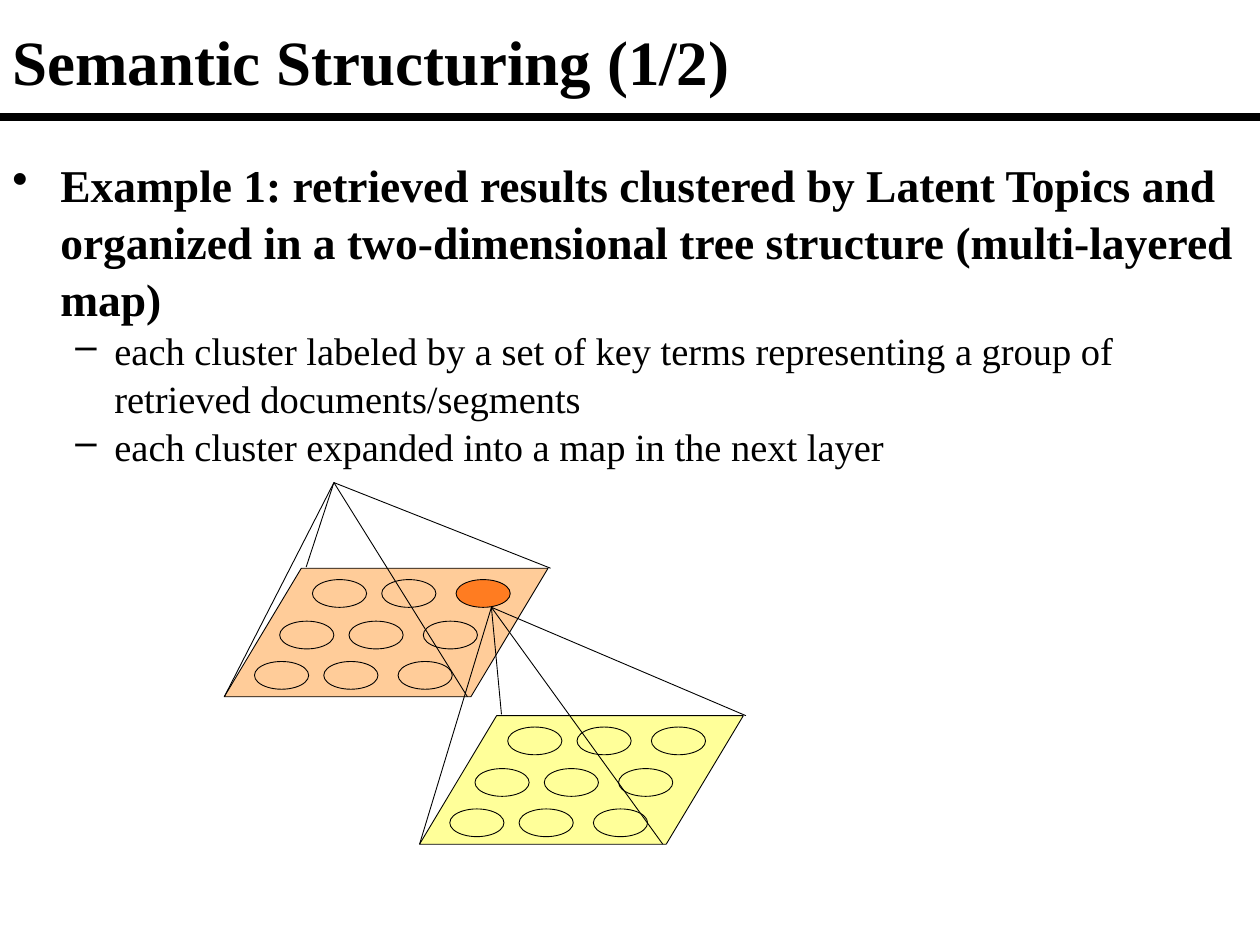
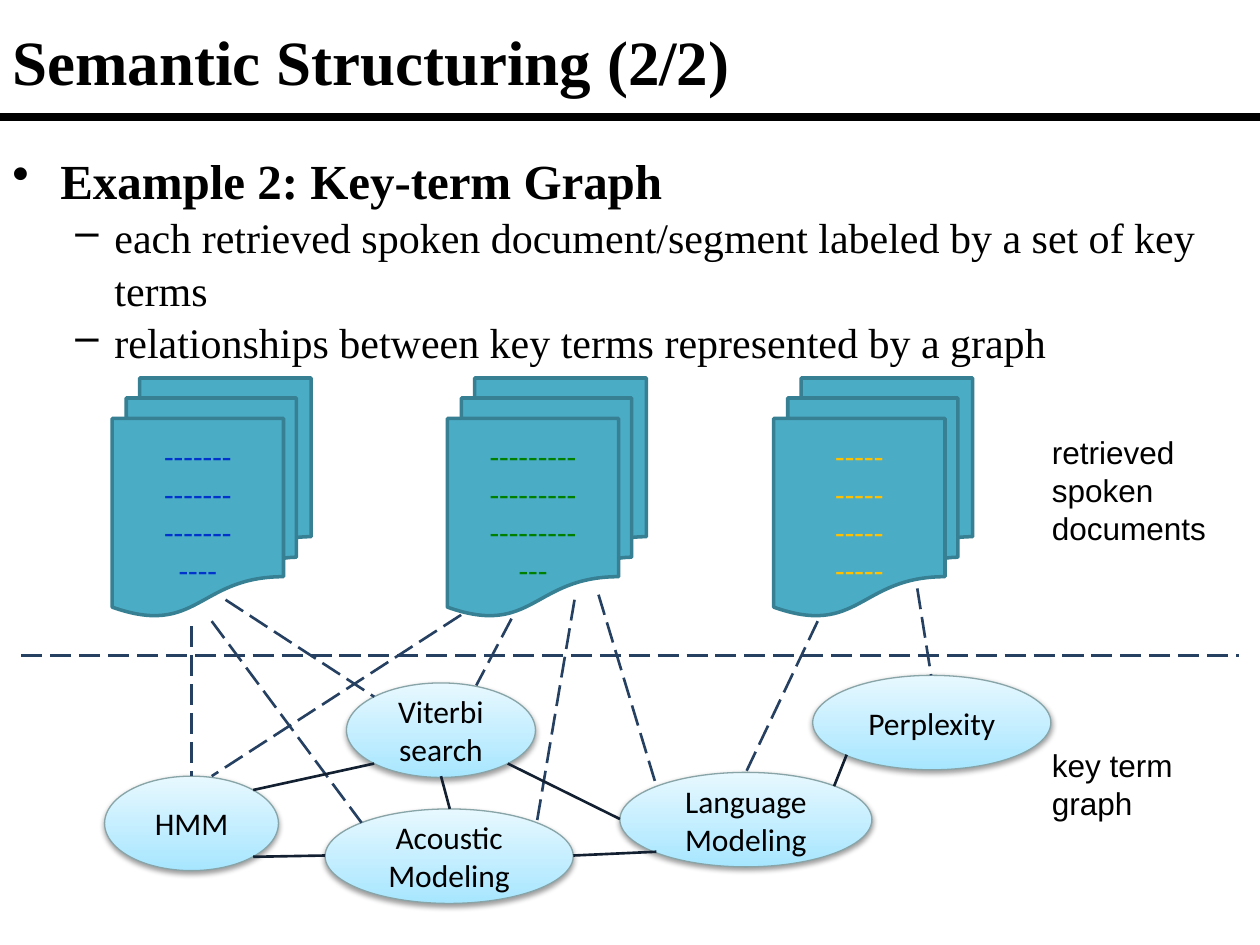
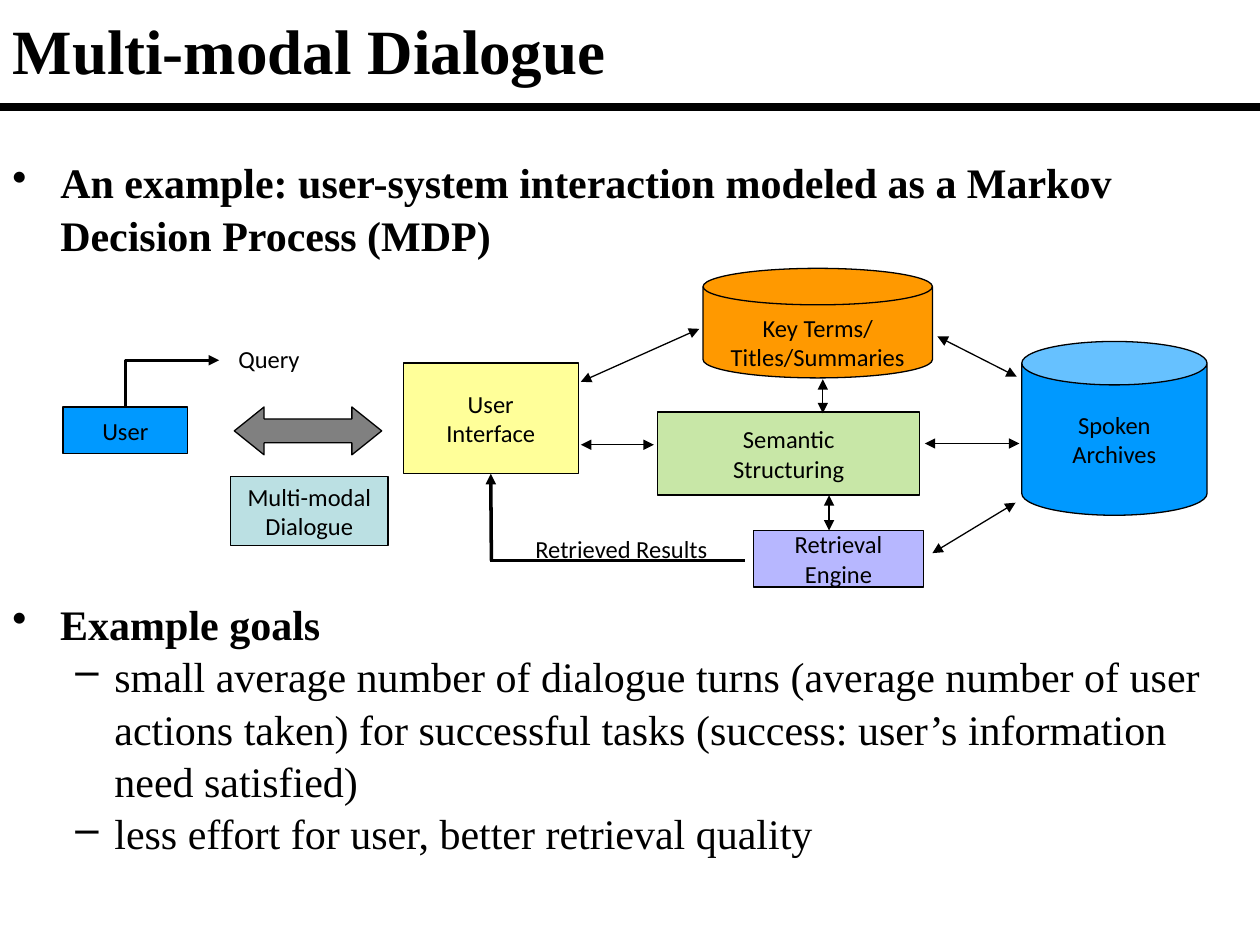
"""Build three slides on semantic structuring and multi-modal dialogue."""
from lxml import etree
from pptx import Presentation
from pptx import util as u
from pptx.dml.color import RGBColor
from pptx.enum import dml, shapes, text
from pptx.oxml.ns import qn

COLORS = {
    "black": "000000", "peach": "FFCC99", "orange": "FF6600", "yellow": "FFFF99",
    "teal": "4BACC6", "teal_edge": "377F92", "gold": "FFC000", "green": "008000",
    "ink_blue": "0033CC", "sky_low": "A7E6FF", "sky_high": "E7F8FF", "sky_edge": "89A4A7",
    "dash": "254061", "link": "122031", "amber": "FF9900", "blue": "0099FF",
    "lilac": "B7B7FF", "gray": "808080", "mist": "BBE0E3", "lime": "92D050",
}
RGB = {name: RGBColor.from_string(value) for name, value in COLORS.items()}
KIND = shapes.MSO_SHAPE
SERIF = "Times New Roman"


def add_block(slide, kind, box, words="", fill=None, alpha=None, edge="black", width=0.75,
              font="Calibri", size=14, color="black", centered=True, wrap=True):
    box = [u.Inches(value) for value in box]
    if kind is None:
        shape = slide.shapes.add_textbox(*box)
    else:
        shape = slide.shapes.add_shape(kind, *box)
        shape.shadow.inherit = False
        shape.line.color.rgb = RGB[edge]
        shape.line.width = u.Pt(width)
        if fill is None:
            shape.fill.background()
        else:
            shape.fill.solid()
            shape.fill.fore_color.rgb = RGB[fill]
        if alpha:
            fill_color = shape._element.spPr.find(qn("a:solidFill"))[0]
            etree.SubElement(fill_color, qn("a:alpha"), val=str(alpha * 1000))
    frame = shape.text_frame
    frame.word_wrap = wrap
    frame.vertical_anchor = text.MSO_ANCHOR.MIDDLE if kind else text.MSO_ANCHOR.TOP
    for index, line in enumerate(words.split("\n") if words else []):
        paragraph = frame.add_paragraph() if index else frame.paragraphs[0]
        paragraph.alignment = text.PP_ALIGN.CENTER if centered else text.PP_ALIGN.LEFT
        run = paragraph.add_run()
        run.text = line
        run.font.name = font
        run.font.size = u.Pt(size)
        run.font.color.rgb = RGB[color]
    return shape


def add_line(slide, start, end, width=0.75, color="black", dashed=False, arrows=(),
             kind=shapes.MSO_CONNECTOR.STRAIGHT):
    connector = slide.shapes.add_connector(kind, *[u.Inches(value) for value in (*start, *end)])
    connector.line.color.rgb = RGB[color]
    connector.line.width = u.Pt(width)
    if dashed:
        connector.line.dash_style = dml.MSO_LINE.LONG_DASH
    properties = connector._element.spPr
    for arrow in arrows:
        etree.SubElement(properties.find(qn("a:ln")), qn(f"a:{arrow}"), type="triangle")
    etree.SubElement(properties, qn("a:effectLst"))
    return connector


presentation = Presentation()
presentation.slide_width = u.Inches(10)
presentation.slide_height = u.Inches(7.5)

PAGES = [
    ("Semantic Structuring (1/2)", 0.08, [
        ((0, 1.18, 9.99, 2.52), 1.04, [
            (0, 26, "Example 1: retrieved results clustered by Latent Topics and organized in a "
                    "two-dimensional tree structure (multi-layered map)"),
            (1, 22, "each cluster labeled by a set of key terms representing a group of "
                    "retrieved documents/segments"),
            (1, 22, "each cluster expanded into a map in the next layer")])]),
    ("Semantic Structuring (2/2)", 0.08, [
        ((0, 1.13, 9.99, 1.78), 1.04, [
            (0, 28, "Example 2: Key-term Graph"),
            (1, 24, "each retrieved spoken document/segment labeled by a set of key terms"),
            (1, 24, "relationships between key terms represented by a graph")])]),
    ("Multi-modal Dialogue", 0, [
        ((0, 1.18, 9.99, 0.91), 1.04, [
            (0, 24, "An example: user-system interaction modeled as a Markov Decision "
                    "Process (MDP)")]),
        ((0, 4.62, 10, 2.2), 1.2, [
            (0, 24, "Example goals"),
            (1, 24, "small average number of dialogue turns (average number of user actions "
                    "taken) for successful tasks (success: user’s information need satisfied)"),
            (1, 24, "less effort for user, better retrieval quality")])]),
]
BULLETS = [("•", 0.38, -0.38), ("–", 0.81, -0.31)]

slides = []
for heading, title_top, bodies in PAGES:
    slide = presentation.slides.add_slide(presentation.slide_layouts[5])
    slides.append(slide)
    title = slide.shapes.title
    title.left, title.top = u.Inches(0), u.Inches(title_top)
    title.width, title.height = u.Inches(9.99), u.Inches(0.79)
    title.text_frame.vertical_anchor = text.MSO_ANCHOR.MIDDLE
    paragraph = title.text_frame.paragraphs[0]
    paragraph.alignment = text.PP_ALIGN.LEFT
    run = paragraph.add_run()
    run.text = heading
    run.font.name, run.font.size, run.font.bold = SERIF, u.Pt(36), True
    run.font.color.rgb = RGB["black"]
    rule_top = title_top + 0.85
    add_line(slide, (0, rule_top), (10, rule_top), 4.5)
    for box, first_spacing, items in bodies:
        frame = add_block(slide, None, box).text_frame
        for index, (level, size, words) in enumerate(items):
            paragraph = frame.add_paragraph() if index else frame.paragraphs[0]
            paragraph.level = level
            paragraph.line_spacing = 1.04 if index else first_spacing
            paragraph.space_before = u.Pt(0 if index else 1.5)
            mark, margin, indent = BULLETS[level]
            properties = paragraph._p.get_or_add_pPr()
            properties.set("marL", str(u.Inches(margin)))
            properties.set("indent", str(u.Inches(indent)))
            etree.SubElement(properties, qn("a:buChar"), char=mark)
            run = paragraph.add_run()
            run.text = words
            run.font.name, run.font.size, run.font.bold = SERIF, u.Pt(size), level == 0
            run.font.color.rgb = RGB["black"]

map_slide, graph_slide, dialogue_slide = slides

LAYERS = [("peach", 1.78, 4.51, (2.65, 3.83), 2), ("yellow", 3.33, 5.68, (3.9, 4.82), None)]
for fill, left, top, apex, expanded_column in LAYERS:
    layer = add_block(map_slide, KIND.PARALLELOGRAM, (left, top, 2.57, 1.02), fill=fill, width=0.5)
    layer.adjustments[0] = 0.6
    for row, (row_left, row_top) in enumerate([(0.7, 0.09), (0.44, 0.42), (0.24, 0.74)]):
        for column, step in enumerate((0, 0.55, 1.14)):
            expanded = row == 0 and column == expanded_column
            add_block(map_slide, KIND.OVAL,
                      (left + row_left + step, top + row_top, 0.43, 0.22),
                      fill="orange" if expanded else None, alpha=78 if expanded else None,
                      width=0.5)
    for across, down in [(0, 1.02), (0.65, -0.01), (1.93, 1.02), (2.59, 0)]:
        add_line(map_slide, apex, (left + across, top + down), 0.5)

DOCUMENTS = [
    (6.14, "gold", (5, 5, 5, 5)),
    (3.55, "green", (9, 9, 9, 3)),
    (0.89, "ink_blue", (7, 7, 7, 4)),
]
for left, color, lengths in DOCUMENTS:
    add_block(graph_slide, KIND.FLOWCHART_MULTIDOCUMENT, (left, 3, 1.58, 1.89),
              "\n".join("-" * length for length in lengths),
              fill="teal", edge="teal_edge", width=2, size=18, color=color)

for box, words in [((8.25, 3.39, 1.46, 1.01), "retrieved spoken documents"),
                   ((8.25, 5.87, 1.17, 0.67), "key term graph")]:
    add_block(graph_slide, None, box, words, font="Arial", size=18, centered=False)

KEY_TERMS = [
    ("Acoustic Modeling", 2.58, 6.42, 1.97),
    ("Viterbi search", 2.75, 5.42, 1.5),
    ("HMM", 0.83, 6.16, 1.38),
    ("Language Modeling", 4.92, 6.13, 2),
    ("Perplexity", 6.45, 5.36, 1.89),
]
for words, left, top, width in KEY_TERMS:
    term = add_block(graph_slide, KIND.OVAL, (left, top, width, 0.75), words,
                     edge="sky_edge", size=18)
    term.fill.gradient()
    term.fill.gradient_angle = 90
    for stop, name in zip(term.fill.gradient_stops, ("sky_low", "sky_high")):
        stop.color.rgb = RGB[name]
    shadow = etree.SubElement(term._element.spPr.find(qn("a:effectLst")), qn("a:outerShdw"),
                              blurRad="40000", dist="20000", dir="5400000", rotWithShape="0")
    shade = etree.SubElement(shadow, qn("a:srgbClr"), val=COLORS["black"])
    etree.SubElement(shade, qn("a:alpha"), val="38000")

DOCUMENT_LINKS = [
    ((0.17, 5.2), (9.83, 5.2)), ((1.52, 4.97), (1.52, 6.16)), ((1.79, 4.76), (2.97, 5.53)),
    ((1.68, 4.93), (2.87, 6.53)), ((4.56, 4.76), (4.26, 6.53)), ((6.49, 4.93), (5.92, 6.13)),
    ((4.75, 4.72), (5.21, 6.24)), ((4.06, 4.91), (3.78, 5.44)), ((3.66, 4.88), (1.68, 6.16)),
    ((7.28, 4.67), (7.39, 5.36)),
]
TERM_LINKS = [
    ((2.01, 6.27), (2.97, 6.06)), ((3.57, 6.42), (3.5, 6.16)), ((2.01, 6.8), (2.58, 6.79)),
    ((4.03, 6.06), (4.92, 6.5)), ((4.55, 6.79), (5.21, 6.76)), ((6.62, 6.24), (6.72, 5.99)),
]
for links, color, dashed in [(DOCUMENT_LINKS, "dash", True), (TERM_LINKS, "link", False)]:
    for start, end in links:
        add_line(graph_slide, start, end, 1.5, color, dashed)

key_terms = add_block(dialogue_slide, KIND.FLOWCHART_MAGNETIC_DISK, (5.58, 2.13, 1.82, 0.87),
                      "Key Terms/\nTitles/Summaries", "amber", wrap=False)
key_terms.text_frame.margin_top = u.Inches(0.2)
key_terms.text_frame.margin_bottom = u.Inches(0.04)
archives = add_block(dialogue_slide, KIND.CAN, (8.11, 2.71, 1.47, 1.38), "Spoken\nArchives",
                     "blue", wrap=False)
archives.adjustments[0] = 0.25
exchange = add_block(dialogue_slide, KIND.LEFT_RIGHT_ARROW, (1.86, 3.23, 1.17, 0.38), fill="gray")
exchange.adjustments[0] = 0.5
exchange.adjustments[1] = 0.623

user = add_block(dialogue_slide, KIND.RECTANGLE, (0.5, 3.23, 0.99, 0.37), "User", "blue")
interface = add_block(dialogue_slide, KIND.RECTANGLE, (3.2, 2.88, 1.39, 0.88),
                      "User\nInterface", "yellow")
for box, words, fill, alpha in [
    ((5.98, 4.21, 1.35, 0.45), "Retrieval\nEngine", "lilac", None),
    ((1.83, 3.78, 1.25, 0.55), "Multi-modal Dialogue", "mist", None),
    ((5.22, 3.27, 2.08, 0.66), "Semantic\nStructuring", "lime", 50),
]:
    add_block(dialogue_slide, KIND.RECTANGLE, box, words, fill, alpha)
add_block(dialogue_slide, None, (3.84, 4.19, 2.14, 0.32), " Retrieved Results")
add_block(dialogue_slide, None, (1.77, 2.68, 0.73, 0.32), "Query", wrap=False)

query = add_line(dialogue_slide, (1.74, 2.86), (0.99, 3.23), 2, arrows=["headEnd"],
                 kind=shapes.MSO_CONNECTOR.ELBOW)
query._element.spPr.find(qn("a:prstGeom")).set("prst", "bentConnector2")
query.end_connect(user, 0)
add_line(dialogue_slide, (5.91, 4.45), (3.89, 4.45), 2)
results = add_line(dialogue_slide, (3.9, 4.45), (3.9, 3.76), 2, arrows=["tailEnd"])
results.end_connect(interface, 2)

for start, end in [
    ((7.44, 2.67), (8.07, 2.99)), ((5.55, 2.61), (4.61, 3.03)), ((7.34, 3.52), (8.09, 3.52)),
    ((7.4, 4.39), (8.06, 3.99)), ((6.53, 3.01), (6.53, 3.28)), ((6.58, 3.93), (6.58, 4.21)),
    ((4.61, 3.53), (5.19, 3.53)),
]:
    add_line(dialogue_slide, start, end, arrows=["headEnd", "tailEnd"])

presentation.save("out.pptx")
